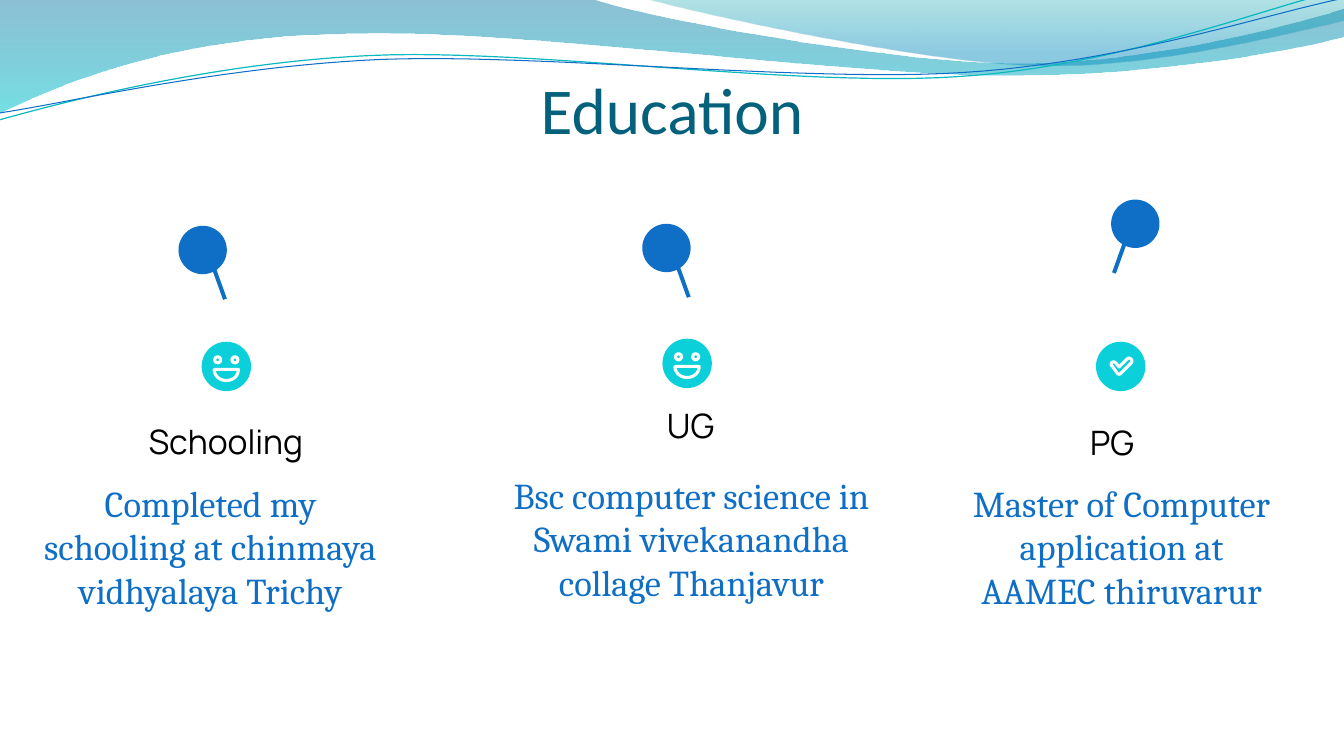
from dataclasses import dataclass
from typing import Optional

from lxml.etree import SubElement
from pptx import Presentation
from pptx.dml.color import RGBColor
from pptx.enum.shapes import MSO_SHAPE as Preset
from pptx.enum.text import MSO_ANCHOR as Anchor, MSO_AUTO_SIZE as AutoSize, PP_ALIGN as Align
from pptx.oxml.ns import qn
from pptx.util import Inches, Pt

COLORS = {
    "title": "04617B", "blue": "0F6FC6", "cyan": "0BD0D9", "teal": "0AB8BF",
    "black": "000000", "white": "FFFFFF",
}
CURVE_STEPS = 24
DISC_SIZE = 0.49
PIN_HEAD_SIZE = 0.48
STICK_WIDTH, STICK_HEIGHT = 0.04, 0.72
PIN_TILT = 19.8
Point = tuple[float, float]
Segment = tuple[float, ...]  # two numbers: line; six numbers: Bezier curve


@dataclass
class Stop:
    position: float
    color: str
    opacity: int


@dataclass
class Wave:
    start: Point
    segments: list[Segment]
    stops: list[Stop]


@dataclass
class Strand:
    start: Point
    segments: list[Segment]
    color: str
    width: float


@dataclass
class Stage:
    heading: str
    description: str
    pin: Point
    leans_left: bool
    disc: Point
    smiling: bool
    heading_at: Point
    description_box: tuple[float, float, float, float]


WAVES = [
    Wave((0, 0), [(5.87, -0.01), (6.34, 0.17, 8.85, 0.63, 10.11, 0.63),
                  (11.38, 0.63, 12.78, 0.26, 13.33, 0.09), (13.35, 0.36),
                  (13.11, 0.44, 11.6, 0.76, 9.94, 0.75),
                  (8.29, 0.75, 5.09, 0.28, 3.43, 0.34),
                  (1.72, 0.36, 0.61, 0.83, -0.01, 1.13)],
         [Stop(0, "0074A1", 45), Stop(1, "00C6CF", 55)]),
    Wave((6.39, -0.01), [(6.79, 0.11, 9.09, 0.62, 10.25, 0.65),
                         (11.41, 0.69, 12.82, 0.32, 13.33, 0.21), (13.33, 0)],
         [Stop(0, "00A1A9", 30), Stop(0.8, "008BBF", 45)]),
]
STRANDS = [
    Strand((-0.01, 1.19), [(0.64, 1.01, 2.11, 0.62, 3.69, 0.55),
                           (5.27, 0.48, 7.9, 0.87, 9.5, 0.76),
                           (11.1, 0.66, 12.52, 0.08, 13.31, -0.1)], "teal", 0.85),
    Strand((0, 1.12), [(0.63, 1.03, 2.18, 0.66, 3.78, 0.59),
                       (5.37, 0.53, 7.96, 0.82, 9.55, 0.72),
                       (11.15, 0.62, 12.55, 0.14, 13.34, -0.02)], "blue", 0.75),
]
STAGES = [
    Stage("Schooling", "Completed my schooling at chinmaya vidhyalaya Trichy",
          (1.77, 2.24), True, (2, 3.39), True, (1.07, 4.07), (0.31, 4.77, 3.56, 1.26)),
    Stage("UG", "Bsc computer science in Swami vivekanandha collage Thanjavur",
          (6.37, 2.22), True, (6.57, 3.36), True, (5.68, 3.91), (5.09, 4.69, 3.54, 1.53)),
    Stage("PG", "Master of Computer application at AAMEC thiruvarur",
          (11.02, 1.98), False, (10.87, 3.39), False, (9.86, 4.08), (9.53, 4.77, 3.19, 1.23)),
]
# Offsets from the top left corner of the disc
EYES = [(0.13, 0.15), (0.3, 0.15)]
MOUTH_START = (0.125, 0.275)
MOUTH = [(0.365, 0.275), (0.365, 0.34, 0.31, 0.385, 0.245, 0.385),
         (0.18, 0.385, 0.125, 0.34, 0.125, 0.275)]
TICK_START = (0.15, 0.23)
TICK = [(0.15, 0.2, 0.18, 0.19, 0.2, 0.215), (0.23, 0.25), (0.31, 0.17),
        (0.335, 0.15, 0.37, 0.18, 0.35, 0.21), (0.25, 0.31),
        (0.235, 0.33, 0.22, 0.325, 0.21, 0.31), (0.15, 0.23)]


def rgb(name: str) -> RGBColor:
    return RGBColor.from_string(COLORS[name])


def flatten(start: Point, segments: list[Segment]) -> list[Point]:
    """Turn lines and Bezier curves into one list of points."""
    points = [start]
    for segment in segments:
        if len(segment) == 2:
            points.append((segment[0], segment[1]))
            continue
        nodes = [points[-1], segment[0:2], segment[2:4], segment[4:6]]
        for step in range(1, CURVE_STEPS + 1):
            t = step / CURVE_STEPS
            weights = ((1 - t) ** 3, 3 * t * (1 - t) ** 2, 3 * t * t * (1 - t), t ** 3)
            x, y = (sum(w * node[axis] for w, node in zip(weights, nodes)) for axis in (0, 1))
            points.append((x, y))
    return points


def add_outline(slide, start: Point, segments: list[Segment], closed: bool, origin: Point = (0, 0)):
    points = [(Inches(origin[0] + x), Inches(origin[1] + y)) for x, y in flatten(start, segments)]
    builder = slide.shapes.build_freeform(*points[0])
    builder.add_line_segments(points[1:], close=closed)
    shape = builder.convert_to_shape()
    shape.shadow.inherit = False
    return shape


def paint(shape, fill: Optional[str], line: Optional[str] = None, width: float = 2.2) -> None:
    if fill:
        shape.fill.solid()
        shape.fill.fore_color.rgb = rgb(fill)
    else:
        shape.fill.background()
    if line:
        shape.line.color.rgb = rgb(line)
        shape.line.width = Pt(width)
    else:
        shape.line.fill.background()


def add_preset(slide, preset: Preset, left: float, top: float, width: float, height: float):
    shape = slide.shapes.add_shape(preset, Inches(left), Inches(top), Inches(width), Inches(height))
    shape.shadow.inherit = False
    return shape


def add_wave(slide, wave: Wave) -> None:
    shape = add_outline(slide, wave.start, wave.segments, True)
    shape.line.fill.background()
    shape.fill.gradient()
    shape.fill.gradient_angle = 270
    for gradient_stop, stop in zip(shape.fill.gradient_stops, wave.stops):
        gradient_stop.position = stop.position
        gradient_stop.color.rgb = RGBColor.from_string(stop.color)
    gradient = shape._element.spPr.find(qn("a:gradFill"))
    for color, stop in zip(gradient.iter(qn("a:srgbClr")), wave.stops):
        SubElement(color, qn("a:alpha")).set("val", str(stop.opacity * 1000))


def add_pin(slide, at: Point, leans_left: bool) -> None:
    left, top = at
    stick_offset = 0.32 if leans_left else 0.13
    stick = add_preset(slide, Preset.RECTANGLE, left + stick_offset, top + 0.03,
                       STICK_WIDTH, STICK_HEIGHT)
    stick.rotation = 360 - PIN_TILT if leans_left else PIN_TILT
    head = add_preset(slide, Preset.OVAL, left, top, PIN_HEAD_SIZE, PIN_HEAD_SIZE)
    for part in (stick, head):
        paint(part, "blue")


def add_badge(slide, at: Point, smiling: bool) -> None:
    paint(add_preset(slide, Preset.OVAL, *at, DISC_SIZE, DISC_SIZE), "cyan")
    if not smiling:
        paint(add_outline(slide, TICK_START, TICK, True, at), "cyan", "white")
        return
    for x, y in EYES:
        eye = add_preset(slide, Preset.OVAL, at[0] + x, at[1] + y, 0.06, 0.06)
        paint(eye, "cyan", "white")
    paint(add_outline(slide, MOUTH_START, MOUTH, True, at), "cyan", "white")


def write(shape, text: str, font: str, size: float, color: str, anchor: Anchor) -> None:
    frame = shape.text_frame
    frame.text = text
    frame.word_wrap = True
    frame.auto_size = AutoSize.NONE
    frame.vertical_anchor = anchor
    frame.margin_left = frame.margin_right = frame.margin_top = frame.margin_bottom = 0
    paragraph = frame.paragraphs[0]
    paragraph.alignment = Align.CENTER
    run_font = paragraph.runs[0].font
    run_font.name, run_font.size, run_font.color.rgb = font, Pt(size), rgb(color)


def add_stage(slide, stage: Stage) -> None:
    add_pin(slide, stage.pin, stage.leans_left)
    add_badge(slide, stage.disc, stage.smiling)
    heading = slide.shapes.add_textbox(*map(Inches, (*stage.heading_at, 2.34, 0.62)))
    write(heading, stage.heading, "Manrope", 24, "black", Anchor.MIDDLE)
    description = slide.shapes.add_textbox(*map(Inches, stage.description_box))
    write(description, stage.description, "Cambria", 26, "blue", Anchor.TOP)


def main() -> None:
    presentation = Presentation()
    presentation.slide_width, presentation.slide_height = Inches(13.33), Inches(7.5)
    slide = presentation.slides.add_slide(presentation.slide_layouts[5])
    for wave in WAVES:
        add_wave(slide, wave)
    for strand in STRANDS:
        paint(add_outline(slide, strand.start, strand.segments, False), None, strand.color, strand.width)
    title = slide.shapes.title
    title.left, title.top, title.width, title.height = map(Inches, (1.04, 0.65, 11.25, 0.84))
    write(title, "Education", "Calibri", 46.7, "title", Anchor.MIDDLE)
    for stage in STAGES:
        add_stage(slide, stage)
    presentation.save("out.pptx")


if __name__ == "__main__":
    main()
